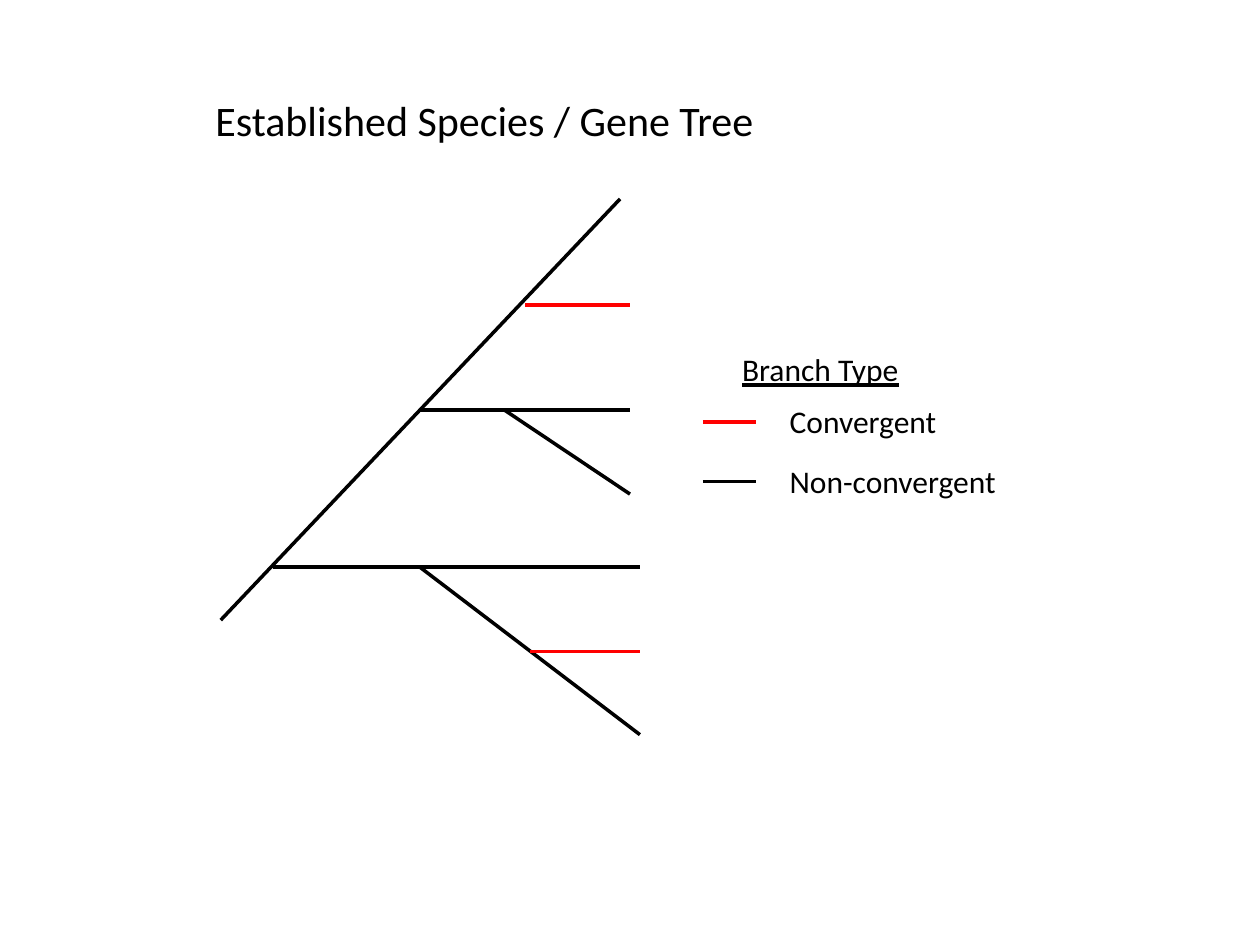
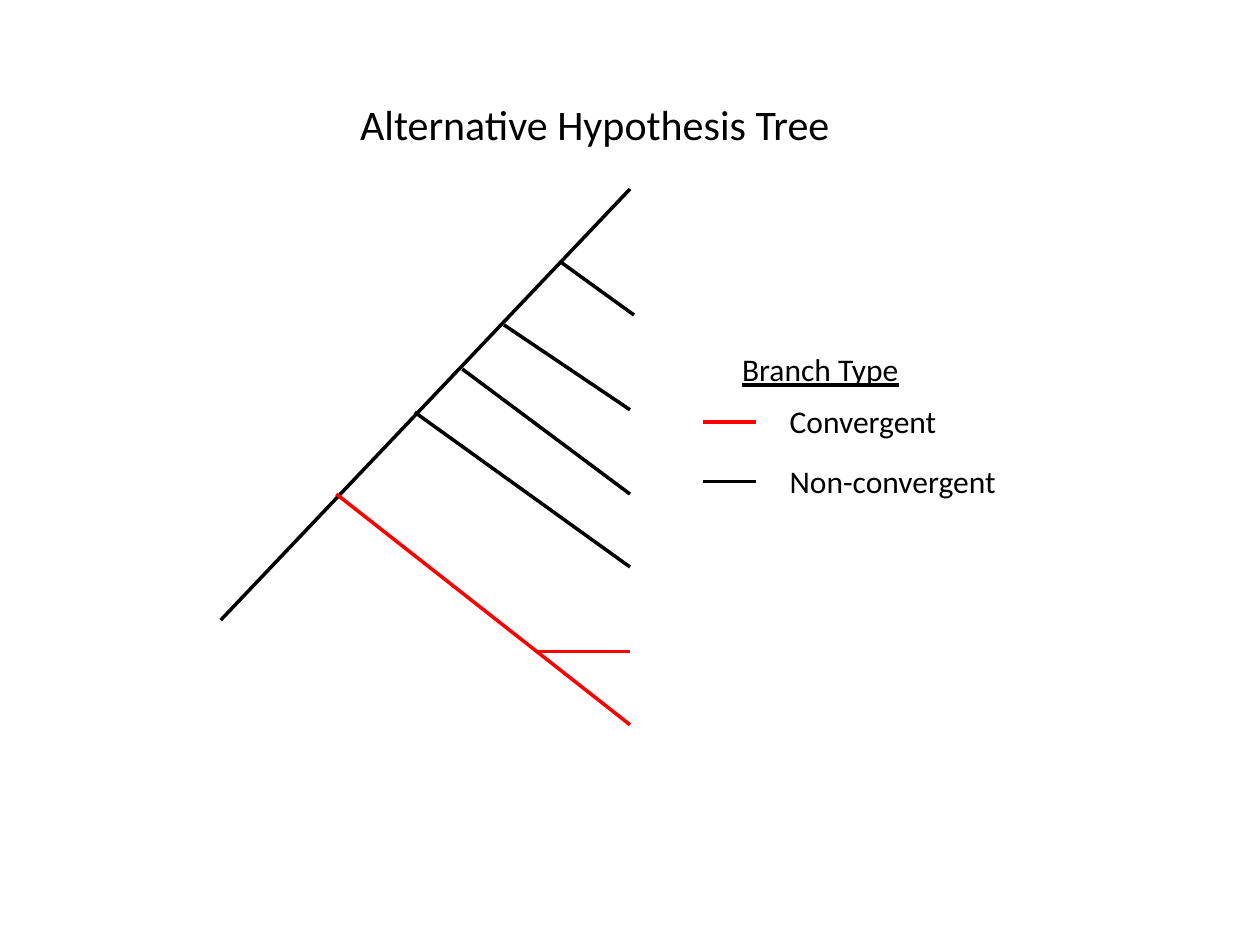
from typing import NamedTuple

from pptx import Presentation
from pptx.dml.color import RGBColor
from pptx.enum.shapes import MSO_CONNECTOR
from pptx.enum.text import MSO_ANCHOR, MSO_AUTO_SIZE, PP_ALIGN
from pptx.oxml.ns import qn
from pptx.util import Cm, Pt

BLACK = RGBColor(0x00, 0x00, 0x00)
RED = RGBColor(0xFF, 0x00, 0x00)
WHITE = RGBColor(0xFF, 0xFF, 0xFF)

NON_CONVERGENT = BLACK
CONVERGENT = RED

BODY_FONT = {"name": "Calibri", "size": Pt(18), "bold": False}
TITLE_FONT = {**BODY_FONT, "size": Pt(24)}
HEADING_FONT = {**BODY_FONT, "underline": True}
FRAME_FORMAT = {
    "word_wrap": False,
    "auto_size": MSO_AUTO_SIZE.SHAPE_TO_FIT_TEXT,
    "vertical_anchor": MSO_ANCHOR.TOP,
    "margin_left": Cm(0.25),
    "margin_right": Cm(0.25),
    "margin_top": Cm(0.13),
    "margin_bottom": Cm(0.13),
}


class Box(NamedTuple):
    left: float
    top: float
    width: float
    height: float


class Branch(NamedTuple):
    start_x: float
    start_y: float
    end_x: float
    end_y: float
    color: RGBColor = NON_CONVERGENT


class LegendEntry(NamedTuple):
    label: str
    label_width: float
    color: RGBColor


class Tree(NamedTuple):
    title: str
    title_box: Box
    branches: tuple[Branch, ...]


ROOT_X, ROOT_Y = 4.45, 12.5
TIP_X = 12.7
LONG_TIP_X = 12.9

TREES = (
    Tree(
        "Established Species / Gene Tree",
        Box(4.09, 1.78, 11.48, 1.27),
        (
            Branch(ROOT_X, ROOT_Y, 12.5, 4.01),
            Branch(10.59, 6.15, TIP_X, 6.15, CONVERGENT),
            Branch(8.46, 8.26, TIP_X, 8.26),
            Branch(10.16, 8.26, TIP_X, 9.96),
            Branch(5.51, 11.43, LONG_TIP_X, 11.43),
            Branch(8.46, 11.43, LONG_TIP_X, 14.81),
            Branch(10.69, 13.13, LONG_TIP_X, 13.13, CONVERGENT),
        ),
    ),
    Tree(
        "Alternative Hypothesis Tree",
        Box(7.01, 1.85, 10.08, 1.27),
        (
            Branch(ROOT_X, ROOT_Y, TIP_X, 3.81),
            Branch(11.3, 5.28, 12.78, 6.35),
            Branch(10.16, 6.55, TIP_X, 8.26),
            Branch(9.32, 7.44, TIP_X, 9.96),
            Branch(8.36, 8.31, TIP_X, 11.43),
            Branch(6.78, 9.96, TIP_X, 14.61, CONVERGENT),
            Branch(10.8, 13.13, TIP_X, 13.13, CONVERGENT),
        ),
    ),
)

LEGEND_HEADING_BOX = Box(14.71, 6.93, 3.71, 1.02)
LEGEND_LINE_LEFT, LEGEND_LINE_RIGHT = 14.17, 15.24
LEGEND_LINE_TOP = 8.51
LEGEND_LABEL_LEFT, LEGEND_LABEL_TOP = 15.67, 7.98
LEGEND_LABEL_HEIGHT = 1.02
LEGEND_PITCH = 1.2
LEGEND_ENTRIES = (
    LegendEntry("Convergent", 3.66, CONVERGENT),
    LegendEntry("Non-convergent", 4.85, NON_CONVERGENT),
)


def apply_format(target, values: dict) -> None:
    for name, value in values.items():
        setattr(target, name, value)


def write_text(shape, text: str, font_format: dict) -> None:
    frame = shape.text_frame
    frame.text = text
    apply_format(frame, FRAME_FORMAT)
    paragraph = frame.paragraphs[0]
    paragraph.alignment = PP_ALIGN.LEFT
    font = paragraph.runs[0].font
    apply_format(font, font_format)
    font.color.rgb = BLACK


def add_label(shapes, box: Box, text: str, font_format: dict) -> None:
    label = shapes.add_textbox(*map(Cm, box))
    write_text(label, text, font_format)


def add_branch(shapes, branch: Branch) -> None:
    connector = shapes.add_connector(MSO_CONNECTOR.STRAIGHT, *map(Cm, branch[:4]))
    connector.line.color.rgb = branch.color
    connector.line.width = Pt(2)
    properties = connector._element.spPr
    properties.append(properties.makeelement(qn("a:effectLst"), {}))


def add_legend(slide) -> None:
    group = slide.shapes.add_group_shape()
    for row, entry in enumerate(LEGEND_ENTRIES):
        offset = row * LEGEND_PITCH
        line_y = LEGEND_LINE_TOP + offset
        add_branch(
            group.shapes,
            Branch(LEGEND_LINE_LEFT, line_y, LEGEND_LINE_RIGHT, line_y, entry.color),
        )
        label_box = Box(
            LEGEND_LABEL_LEFT,
            LEGEND_LABEL_TOP + offset,
            entry.label_width,
            LEGEND_LABEL_HEIGHT,
        )
        add_label(group.shapes, label_box, entry.label, BODY_FONT)
    add_label(slide.shapes, LEGEND_HEADING_BOX, "Branch Type", HEADING_FONT)


def add_title(slide, tree: Tree) -> None:
    title = slide.shapes.title
    lengths = {name: Cm(value) for name, value in tree.title_box._asdict().items()}
    apply_format(title, lengths)
    write_text(title, tree.title, TITLE_FONT)


def add_tree_slide(presentation, tree: Tree) -> None:
    slide = presentation.slides.add_slide(presentation.slide_layouts[5])
    slide.background.fill.solid()
    slide.background.fill.fore_color.rgb = WHITE
    add_title(slide, tree)
    for branch in tree.branches:
        add_branch(slide.shapes, branch)
    add_legend(slide)


def main() -> None:
    presentation = Presentation()
    presentation.slide_width = Cm(25.4)
    presentation.slide_height = Cm(19.05)
    for tree in TREES:
        add_tree_slide(presentation, tree)
    presentation.save("out.pptx")


if __name__ == "__main__":
    main()
